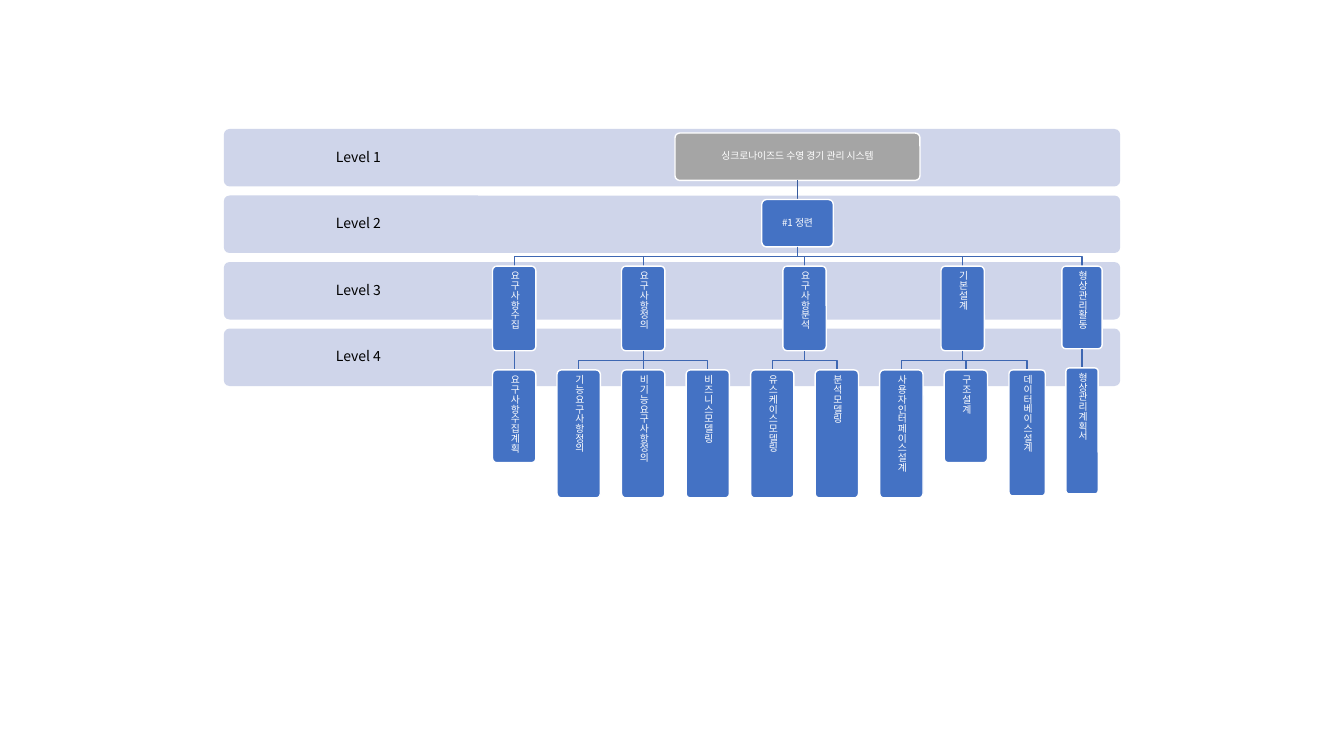
from lxml import etree
from pptx import Presentation, util as u
from pptx.dml.color import RGBColor
from pptx.enum import shapes, text
from pptx.oxml.ns import qn

THEME = {
    "font": "Noto Sans CJK KR",
    "label_size": 10, "box_size": 7,
    "black": "000000", "white": "FFFFFF",
    "band": "CFD5EA", "root": "A5A5A5", "node": "4472C4",
    "root_link": "365B9D", "link": "3E67B2",
}

# Grid in inches: rows hold the levels, columns hold the lowest boxes
ROW_TOP, ROW_PITCH = 1.32, 0.66
FIRST_COLUMN, COLUMN_PITCH = 5.1, 0.64
BOX_HEIGHT, GAP = 0.47, 0.19
BAND_LEFT, BAND_WIDTH, BAND_HEIGHT, LABEL_WIDTH = 2.22, 8.89, 0.57, 2.67
ROOT_CENTRE = 7.91

deck = Presentation()
deck.slide_width, deck.slide_height = u.Inches(13.33), u.Inches(7.5)
page = deck.slides.add_slide(deck.slide_layouts[6])


def add_box(words, centre, top, width, height, fill, size=THEME["box_size"],
            ink="white", border=True, inset=0.04, right_inset=0.04, vertical=False):
    """Draw a rounded box around a centre line, with its words inside."""
    box = page.shapes.add_shape(
        shapes.MSO_SHAPE.ROUNDED_RECTANGLE, u.Inches(centre - width / 2),
        u.Inches(top), u.Inches(width), u.Inches(height))
    box.shadow.inherit = False
    box.adjustments[0] = 0.1
    box.fill.solid()
    box.fill.fore_color.rgb = RGBColor.from_string(THEME[fill])
    if border:
        box.line.color.rgb = RGBColor.from_string(THEME["white"])
        box.line.width = u.Pt(1)
    else:
        box.line.fill.background()
    frame = box.text_frame
    frame.word_wrap = True
    frame.vertical_anchor = text.MSO_ANCHOR.MIDDLE
    frame.margin_left = frame.margin_top = frame.margin_bottom = u.Inches(inset)
    frame.margin_right = u.Inches(right_inset)
    if vertical:
        frame._txBody.bodyPr.set("vert", "eaVert")
    para = frame.paragraphs[0]
    para.text = words
    para.alignment = text.PP_ALIGN.CENTER
    para.line_spacing = 0.9
    para.font.size = u.Pt(size)
    para.font.color.rgb = RGBColor.from_string(THEME[ink])
    span = para.runs[0]
    span.font.name = THEME["font"]
    etree.SubElement(span.font._element, qn("a:ea"), typeface=THEME["font"])


def add_link(start, end, top, colour="link"):
    """Join two boxes across a gap, stepping sideways halfway down."""
    bottom = top + GAP
    if abs(start - end) < 0.01:
        link = page.shapes.add_connector(
            shapes.MSO_CONNECTOR.STRAIGHT, *map(u.Inches, (start, top, end, bottom)))
        etree.SubElement(link._element.spPr, qn("a:effectLst"))
    else:
        middle = top + GAP / 2
        outline = page.shapes.build_freeform(u.Inches(start), u.Inches(top))
        outline.add_line_segments(
            [(u.Inches(x), u.Inches(y))
             for x, y in ((start, middle), (end, middle), (end, bottom))], close=False)
        link = outline.convert_to_shape()
        link.fill.background()
        link.shadow.inherit = False
    link.line.color.rgb = RGBColor.from_string(THEME[colour])
    link.line.width = u.Pt(1)


# Level bands
for level in range(4):
    add_box(f"Level {level + 1}", BAND_LEFT + BAND_WIDTH / 2,
            ROW_TOP - 0.04 + level * ROW_PITCH, BAND_WIDTH, BAND_HEIGHT, "band",
            size=THEME["label_size"], ink="black", border=False, inset=0.08,
            right_inset=BAND_WIDTH - LABEL_WIDTH + 0.08)

# System and its iteration
add_box("싱크로나이즈드 수영 경기 관리 시스템", ROOT_CENTRE, ROW_TOP, 2.43, BOX_HEIGHT, "root")
add_link(ROOT_CENTRE, ROOT_CENTRE, ROW_TOP + BOX_HEIGHT, "root_link")
add_box("#1 정련", ROOT_CENTRE, ROW_TOP + ROW_PITCH, 0.71, BOX_HEIGHT, "node")

# Activities: name, column, width, height, tasks (name, column, width, height)
activities = [
    ("요구사항수집", 0, 0.43, 0.84, [("요구사항수집계획", 0, 0.43, 0.92)]),
    ("요구사항정의", 2, 0.43, 0.84, [
        ("기능요구사항정의", 1, 0.43, 1.27),
        ("비기능요구사항정의", 2, 0.43, 1.27),
        ("비즈니스모델링", 3, 0.43, 1.27)]),
    ("요구사항분석", 4.5, 0.43, 0.84, [
        ("유스케이스모델링", 4, 0.43, 1.27),
        ("분석모델링", 5, 0.43, 1.27)]),
    ("기본설계", 6.95, 0.43, 0.84, [
        ("사용자인터페이스설계", 6, 0.43, 1.27),
        ("구조설계", 7, 0.43, 0.92),
        ("데이터베이스설계", 7.95, 0.36, 1.25)]),
    ("형상관리활동", 8.8, 0.4, 0.82, [("형상관리계획서", 8.8, 0.32, 1.25)]),
]
activity_top = ROW_TOP + 2 * ROW_PITCH
for activity, column, width, height, tasks in activities:
    centre = FIRST_COLUMN + column * COLUMN_PITCH
    add_link(ROOT_CENTRE, centre, activity_top - GAP)
    add_box(activity, centre, activity_top, width, height, "node", vertical=True)
    activity_bottom = activity_top + height
    for task, task_column, task_width, task_height in tasks:
        task_centre = FIRST_COLUMN + task_column * COLUMN_PITCH
        add_link(centre, task_centre, activity_bottom)
        add_box(task, task_centre, activity_bottom + GAP, task_width, task_height,
                "node", vertical=True)

deck.save("out.pptx")
